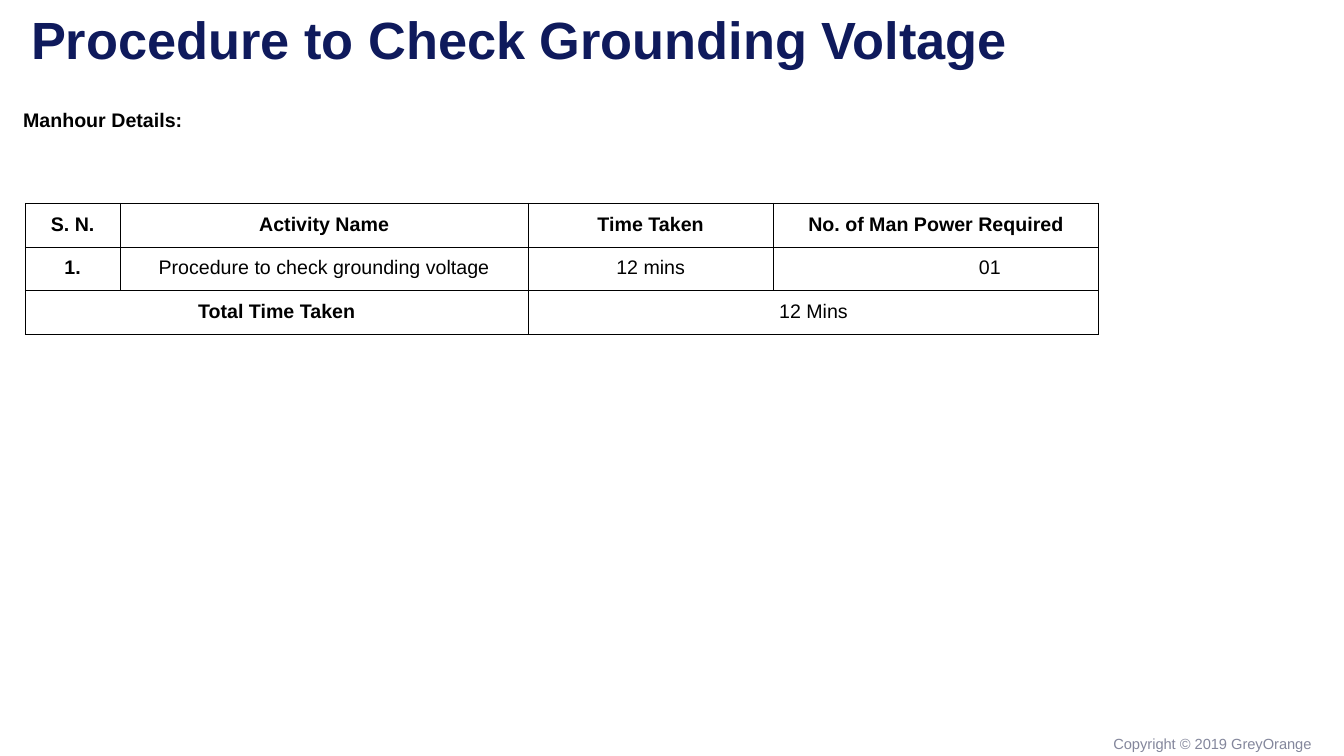
"""Build the manhour slide for the grounding voltage check."""
import pptx
import pptx.dml.color
import pptx.enum.text
import pptx.oxml
import pptx.oxml.ns
import pptx.util

Pt = pptx.util.Pt
ALIGN = pptx.enum.text.PP_ALIGN
ANCHOR = pptx.enum.text.MSO_ANCHOR


def write(tf, text, color, align, **font):
    tf.word_wrap = True
    p = tf.paragraphs[0]
    p.alignment = align
    r = p.add_run()
    r.text = text
    r.font.color.rgb = pptx.dml.color.RGBColor.from_string(color)
    for name, value in {"name": "Arial", **font}.items():
        setattr(r.font, name, value)
    return p


prs = pptx.Presentation()
prs.slide_width, prs.slide_height = Pt(960), Pt(540)
s = prs.slides.add_slide(prs.slide_layouts[5])

title = s.shapes.title
for name, value in {"left": 15, "top": 13, "width": 917, "height": 40}.items():
    setattr(title, name, Pt(value))
tf = title.text_frame
tf.auto_size = pptx.enum.text.MSO_AUTO_SIZE.NONE
tf.vertical_anchor = ANCHOR.MIDDLE
p = write(tf, "Procedure to Check Grounding Voltage", "0F1A5C", ALIGN.LEFT,
          size=Pt(37.4), bold=True)
p.line_spacing = 0.7

tf = s.shapes.add_textbox(Pt(9.4), Pt(70), Pt(236), Pt(32)).text_frame
tf.margin_top = tf.margin_bottom = Pt(7.2)
write(tf, "Manhour Details:", "000000", ALIGN.LEFT, size=Pt(14), bold=True)

tf = s.shapes.add_textbox(Pt(770), Pt(521.3), Pt(177), Pt(20)).text_frame
tf.margin_right = Pt(10)
write(tf, "Copyright © 2019 GreyOrange", "84879C", ALIGN.RIGHT, size=Pt(10.5))

rows = [
    ["S. N.", "Activity Name", "Time Taken", "No. of Man Power Required"],
    ["1.", "Procedure to check grounding voltage", "12 mins", "01"],
    ["Total Time Taken", "", "12 Mins", ""],
]
widths = [67.8, 291.5, 175, 232.7]
row_height = 30
table = s.shapes.add_table(len(rows), len(widths), Pt(18), Pt(145.2),
                           Pt(sum(widths)), Pt(row_height * len(rows))).table
table.first_row = table.horz_banding = False
for column, width in zip(table.columns, widths):
    column.width = Pt(width)

for i, row in enumerate(rows):
    table.rows[i].height = Pt(row_height)
    for j, text in enumerate(row):
        cell = table.cell(i, j)
        for side in ("left", "right", "top", "bottom"):
            setattr(cell, f"margin_{side}", Pt(7.2))
        tcPr = cell._tc.get_or_add_tcPr()
        for side in "LRTB":
            tcPr.append(pptx.oxml.parse_xml(
                f'<a:ln{side} {pptx.oxml.ns.nsdecls("a")} w="{Pt(0.75)}"><a:solidFill>'
                f'<a:srgbClr val="000000"/></a:solidFill></a:ln{side}>'))
        cell.fill.background()
        if text:
            write(cell.text_frame, text, "000000", ALIGN.CENTER,
                  size=Pt(14), bold=i == 0 or j == 0)

table.cell(1, 3).margin_left = Pt(84)
for j in (0, 2):
    table.cell(2, j).merge(table.cell(2, j + 1))

prs.save("out.pptx")
